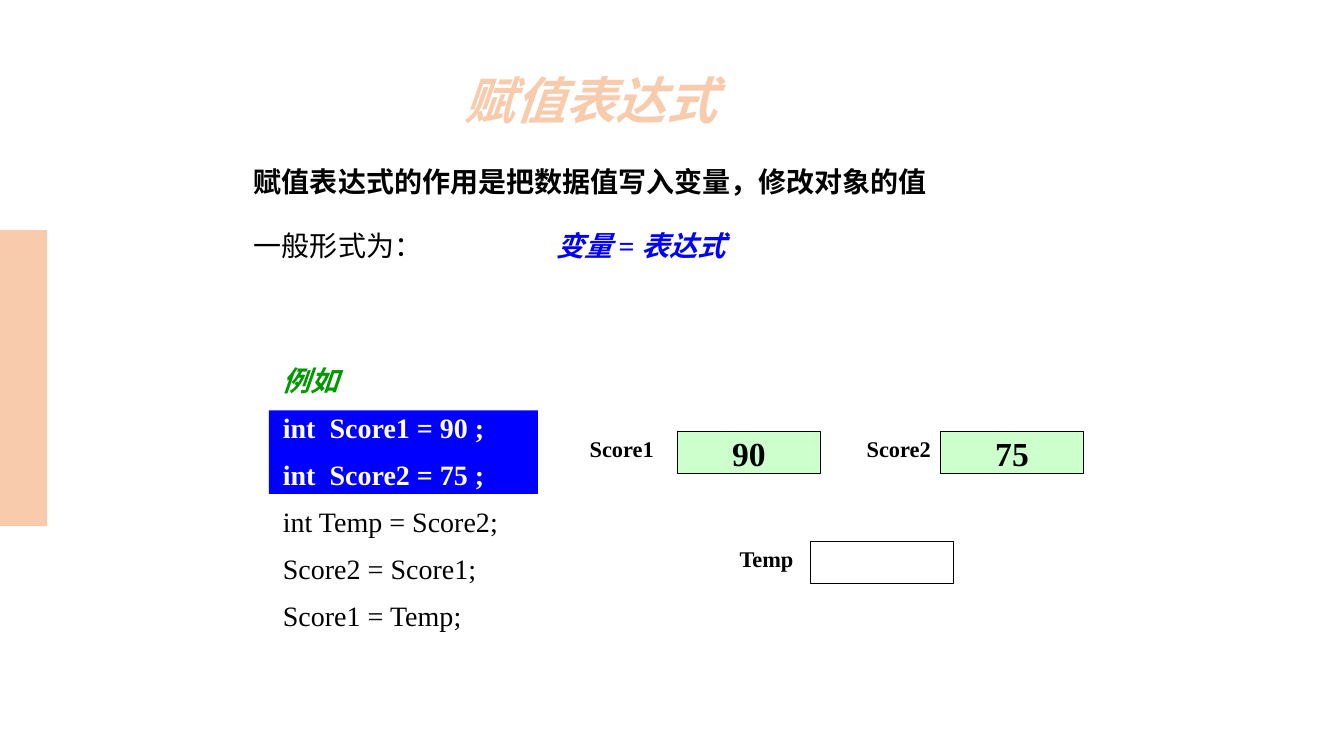
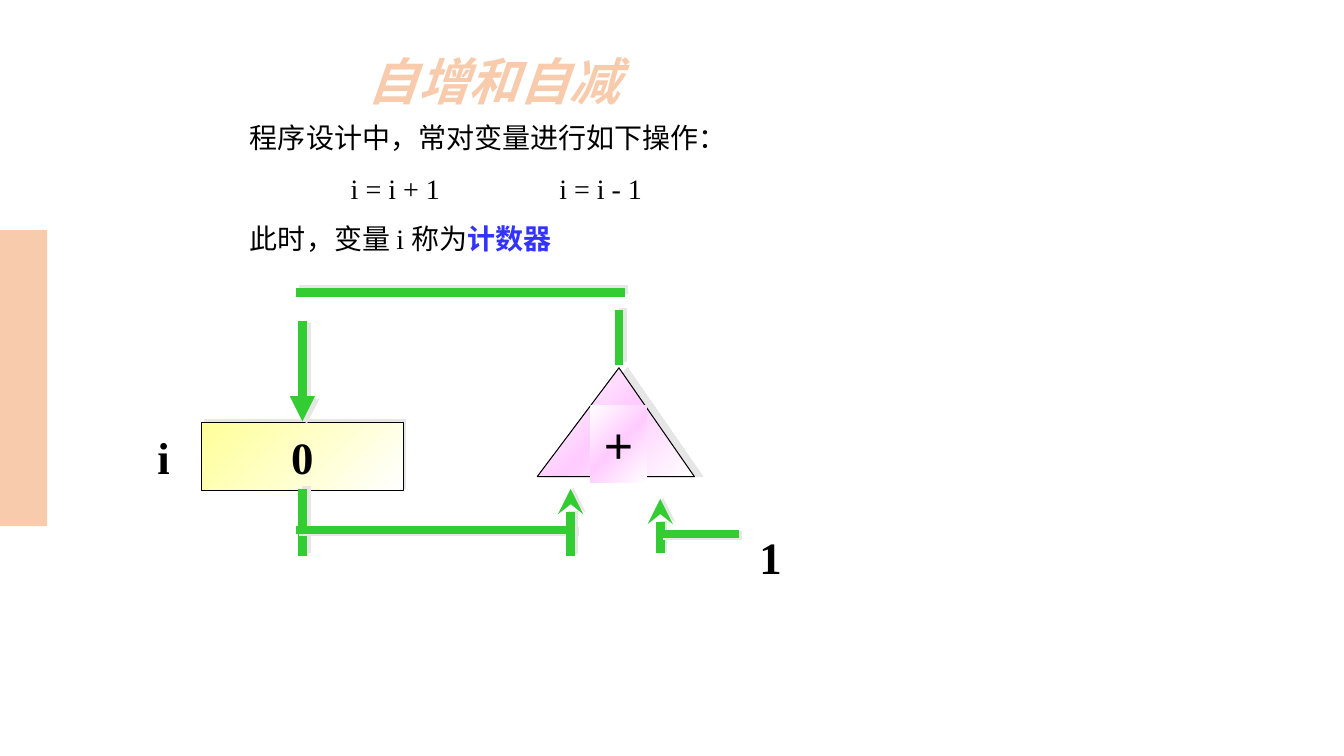
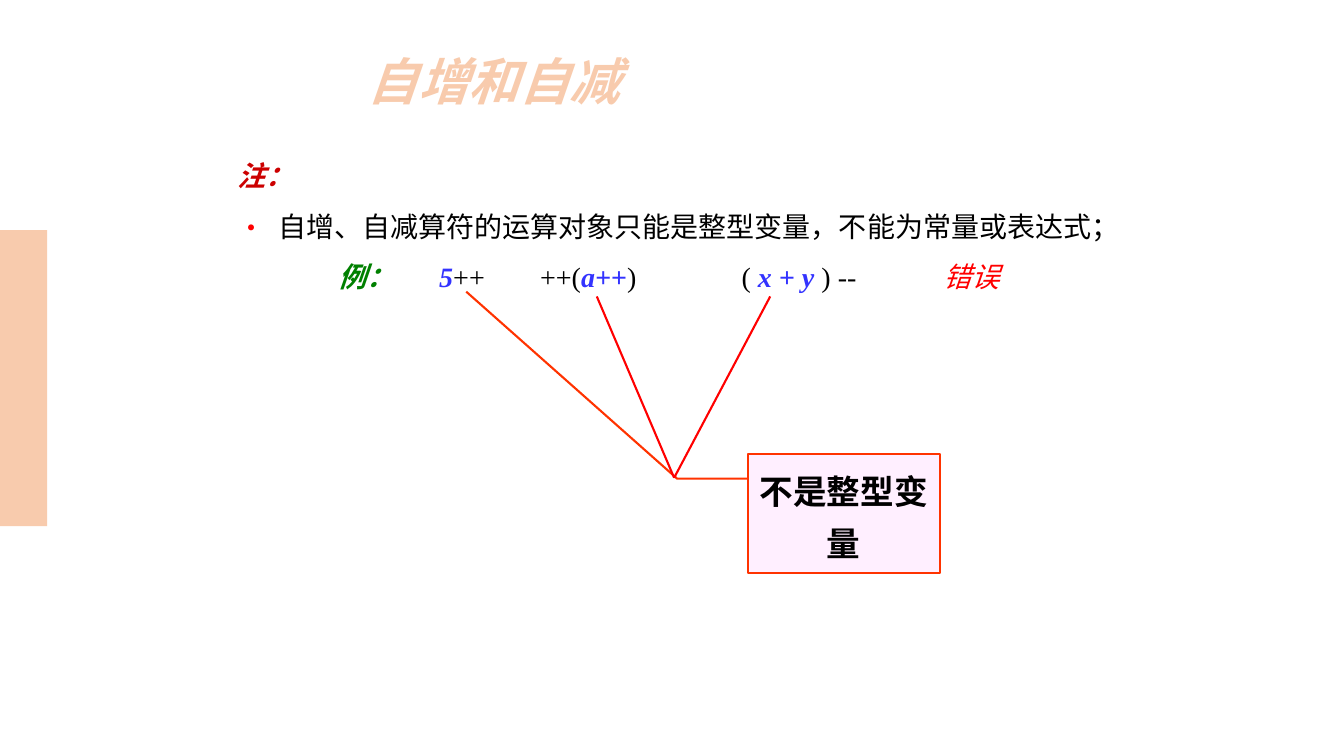
from dataclasses import dataclass
from typing import Any

import lxml.etree
import pptx
import pptx.dml.color
import pptx.enum.shapes
import pptx.enum.text
import pptx.oxml.ns
import pptx.util

Cm = pptx.util.Cm
SHAPE = pptx.enum.shapes.MSO_SHAPE
ANCHOR = pptx.enum.text.MSO_ANCHOR
ALIGN = pptx.enum.text.PP_ALIGN

# Shared look
SERIF = "Times New Roman"
SANS = "Noto Sans CJK SC"
PEACH, BLACK, WHITE = "F8CBAD", "000000", "FFFFFF"
BLUE, VIOLET, RED = "0000FF", "3333FF", "FF0000"
GREEN, SHADE = "33CC33", "E7E6E6"
PINK = [(0, WHITE), (50, "FFCCFF"), (100, WHITE)]
YELLOW = [(0, "FFFF99"), (100, WHITE)]
TAB = 2.54


@dataclass
class Run:
    text: str
    ink: str = BLACK
    bold: bool = False
    slant: bool = False


@dataclass
class Para:
    runs: list[Run]
    tabs: tuple[int, ...] = ()
    bullet: str = ""


@dataclass
class Style:
    size: float = 20
    lead: float = 1.0
    font: str = SERIF
    align: Any = ALIGN.LEFT
    anchor: Any = ANCHOR.TOP
    wrap: bool = True
    pad: tuple[float, float] = (0.25, 0.13)


@dataclass
class Box:
    left: float
    top: float
    width: float
    height: float

    def place(self) -> list[int]:
        return [Cm(n) for n in (self.left, self.top, self.width, self.height)]


@dataclass
class Line:
    start: tuple[float, float]
    end: tuple[float, float]
    shade: tuple[float, int] | None = None
    ink: str = GREEN
    width: float = 6
    tip: str = ""


BODY = Style(lead=1.5, wrap=False)
LABEL = Style(size=16, wrap=False)
VALUE = Style(size=24, align=ALIGN.CENTER, anchor=ANCHOR.MIDDLE, wrap=False)
DIGIT = Style(size=32, align=ALIGN.CENTER, anchor=ANCHOR.MIDDLE, wrap=False,
              pad=(0.33, 0.18))
PLUS = Style(size=37.3, align=ALIGN.CENTER, anchor=ANCHOR.MIDDLE, wrap=False,
             pad=(0.33, 0.18))


def tint(code: str) -> pptx.dml.color.RGBColor:
    return pptx.dml.color.RGBColor.from_string(code)


def add(home: Any, tag: str, **marks: Any) -> Any:
    node = lxml.etree.SubElement(home, pptx.oxml.ns.qn(tag))
    for key, mark in marks.items():
        node.set(key, str(mark))
    return node


def find(part: Any, tag: str) -> Any:
    return part._element.spPr.find(pptx.oxml.ns.qn(tag))


# Text
def mark_up(para: Any, item: Para) -> None:
    """Add the bullet and the tab stops of a paragraph."""
    props = para._p.get_or_add_pPr()
    if item.bullet:
        props.set("marL", str(Cm(1.02)))
        props.set("indent", str(-Cm(1.02)))
        add(add(props, "a:buClr"), "a:srgbClr", val=item.bullet)
        add(props, "a:buFont", typeface=SANS)
        add(props, "a:buChar", char="•")
    if item.tabs:
        stops = add(props, "a:tabLst")
        for stop in item.tabs:
            add(stops, "a:tab", pos=Cm(stop * TAB), algn="l")


def write(shape: Any, paras: list[Para], style: Style) -> None:
    frame = shape.text_frame
    frame.word_wrap = style.wrap
    frame.auto_size = pptx.enum.text.MSO_AUTO_SIZE.NONE
    frame.vertical_anchor = style.anchor
    frame.margin_left = frame.margin_right = Cm(style.pad[0])
    frame.margin_top = frame.margin_bottom = Cm(style.pad[1])
    for rank, item in enumerate(paras):
        para = frame.add_paragraph() if rank else frame.paragraphs[0]
        mark_up(para, item)
        para.alignment = style.align
        para.line_spacing = style.lead
        for piece in item.runs:
            run = para.add_run()
            run.text = piece.text
            font = run.font
            font.size = pptx.util.Pt(style.size)
            font.name = style.font
            font.bold, font.italic = piece.bold, piece.slant
            font.color.rgb = tint(piece.ink)
            add(run._r.get_or_add_rPr(), "a:ea", typeface=SANS)


def text(slide: Any, box: Box, paras: list[Para], style: Style) -> None:
    write(slide.shapes.add_textbox(*box.place()), paras, style)


def bold(words: str) -> list[Para]:
    return [Para([Run(words, bold=True)])]


# Shapes and lines
def shade(part: Any, far: float, turn: int) -> None:
    """Cast a hard shadow; far is in points, turn in degrees."""
    glow = find(part, "a:effectLst")
    cast = add(glow, "a:outerShdw", blurRad=0, dist=pptx.util.Pt(far),
               dir=turn * 60000, algn="ctr", rotWithShape=0)
    add(cast, "a:srgbClr", val=SHADE)


def blend(shape: Any, stops: list[tuple[int, str]]) -> None:
    """Fill with a gradient running to the lower right."""
    shape.fill.gradient()
    grad = find(shape, "a:gradFill")
    for child in list(grad):
        grad.remove(child)
    row = add(grad, "a:gsLst")
    for spot, code in stops:
        add(add(row, "a:gs", pos=spot * 1000), "a:srgbClr", val=code)
    add(grad, "a:lin", ang=45 * 60000, scaled=1)


def draw(slide: Any, box: Box, fill: str | list[tuple[int, str]],
         edge: str = "", width: float = 1, kind: Any = SHAPE.RECTANGLE) -> Any:
    shape = slide.shapes.add_shape(kind, *box.place())
    if isinstance(fill, str):
        shape.fill.solid()
        shape.fill.fore_color.rgb = tint(fill)
    else:
        blend(shape, fill)
    if edge:
        shape.line.color.rgb = tint(edge)
        shape.line.width = pptx.util.Pt(width)
    else:
        shape.line.fill.background()
    shape.shadow.inherit = False
    return shape


def link(slide: Any, line: Line) -> None:
    ends = [Cm(n) for n in (*line.start, *line.end)]
    wire = slide.shapes.add_connector(
        pptx.enum.shapes.MSO_CONNECTOR.STRAIGHT, *ends)
    wire.line.color.rgb = tint(line.ink)
    wire.line.width = pptx.util.Pt(line.width)
    if line.tip:
        add(find(wire, "a:ln"), "a:tailEnd", type=line.tip)
    add(wire._element.spPr, "a:effectLst")
    if line.shade:
        shade(wire, *line.shade)


def start(deck: Any, title: str, box: Box, lead: float, anchor: Any) -> Any:
    """Add a slide with its title and the side band."""
    slide = deck.slides.add_slide(deck.slide_layouts[5])
    head = slide.shapes.title
    head.left, head.top, head.width, head.height = box.place()
    write(head, [Para([Run(title, PEACH, True, True)])],
          Style(size=36, lead=lead, font=SANS, anchor=anchor))
    draw(slide, Box(0, 5.8, 1.19, 7.46), PEACH)
    return slide


def begin(deck: Any) -> Any:
    """Start one of the slides on counting up and down."""
    return start(deck, "自增和自减", Box(9.02, -0.08, 22.02, 2.67), 1.8,
                 ANCHOR.TOP)


# Slides
def assign(deck: Any) -> None:
    slide = start(deck, "赋值表达式", Box(11.46, 1.75, 8.59, 1.7), 0.9,
                  ANCHOR.MIDDLE)
    text(slide, Box(6.15, 3.3, 18.62, 1.7),
         bold("赋值表达式的作用是把数据值写入变量，修改对象的值"),
         Style(lead=2, anchor=ANCHOR.MIDDLE))
    form = [Run("一般形式为：\t"), Run("变量 ", BLUE, True, True),
            Run("= ", BLUE, True), Run("表达式", BLUE, True, True)]
    text(slide, Box(6.15, 4.98, 18.62, 1.65), [Para(form, (3,))],
         Style(lead=1.9, anchor=ANCHOR.MIDDLE))

    # Code with its first two lines lit
    draw(slide, Box(6.78, 10.34, 6.78, 2.11), BLUE)
    code = [Run("例如", "009900", True, True),
            Run("int  Score1 = 90 ;", WHITE, True),
            Run("int  Score2 = 75 ;", WHITE, True),
            Run("int Temp = Score2;"),
            Run("Score2 = Score1;"),
            Run("Score1 = Temp;")]
    text(slide, Box(6.88, 8.69, 6.68, 7.32), [Para([run]) for run in code],
         Style(lead=1.4))

    # Variables in memory: name, name's left, cell's left, top, value
    cells = [("Score1", 14.61, 17.07, 10.87, "90"),
             ("Score2", 21.59, 23.7, 10.87, "75"),
             ("Temp", 18.39, 20.42, 13.64, "")]
    for name, left, side, top, value in cells:
        cell = draw(slide, Box(side, top, 3.61, 1.07),
                    "CCFFCC" if value else WHITE, BLACK)
        if value:
            write(cell, bold(value), VALUE)
        text(slide, Box(left, top - 0.03, 2.16, 0.94), bold(name), LABEL)


def count(deck: Any) -> None:
    slide = begin(deck)
    paras = [Para([Run("程序设计中，常对变量进行如下操作：")]),
             Para([Run("\ti = i + 1\t i = i - 1")], (1, 3)),
             Para([Run("此时，变量 i 称为"), Run("计数器", VIOLET, True)])]
    text(slide, Box(6.05, 2.49, 12.62, 4), paras, BODY)

    # Counter cell and adder
    text(slide, Box(3.63, 10.64, 0.99, 1.73), bold("i"), DIGIT)
    cell = draw(slide, Box(5.08, 10.64, 5.08, 1.73), YELLOW, BLACK, 0.75)
    shade(cell, 2.8, 315)
    write(cell, bold("0"), DIGIT)
    adder = draw(slide, Box(13.54, 9.27, 3.96, 2.74), PINK, BLACK, 0.75,
                 SHAPE.ISOSCELES_TRIANGLE)
    adder.adjustments[0] = 0.52
    shade(adder, 6, 0)
    sign = draw(slide, Box(14.88, 10.21, 1.42, 1.96), PINK)
    write(sign, bold("+"), PLUS)

    # Wires of the loop
    wires = [Line((7.62, 12.32), (7.62, 14), (3.6, 326)),
             Line((7.47, 13.36), (14.53, 13.36), (2.2, 27)),
             Line((14.38, 14), (14.38, 12.32), (2.2, 333), tip="stealth"),
             Line((16.64, 13.94), (16.64, 12.57), (2.2, 333), tip="stealth"),
             Line((16.64, 13.46), (18.62, 13.46), (2.2, 27)),
             Line((15.6, 7.82), (15.6, 9.19), (3.6, 326)),
             Line((7.47, 7.37), (15.75, 7.37), (2.8, 315)),
             Line((7.62, 8.08), (7.62, 10.62), (3.6, 34), tip="triangle")]
    for wire in wires:
        link(slide, wire)
    text(slide, Box(18.8, 13.16, 1.24, 1.73), bold("1"), DIGIT)


def limit(deck: Any) -> None:
    slide = begin(deck)
    cases = [Run("\t"), Run("例：\t", "008000", True, True),
             Run("5", VIOLET, True, True), Run("++\t++("),
             Run("a++", VIOLET, True, True), Run(")\t( "),
             Run("x + y ", VIOLET, True, True), Run(") --\t"),
             Run("错误", RED, slant=True)]
    rule = "自增、自减算符的运算对象只能是整型变量，不能为常量或表达式；"
    paras = [Para([Run("注：", "CC0000", True, True)]),
             Para([Run(rule)], bullet=RED),
             Para(cases, (1, 2, 3, 5, 7))]
    text(slide, Box(5.74, 3.45, 22.56, 3.94), paras, BODY)

    # Callout and the lines from each wrong case
    note = draw(slide, Box(18.85, 11.43, 4.83, 3), "FFEFFF", "FF3300", 1.5,
                SHAPE.LINE_CALLOUT_2)
    for rank, bend in enumerate((0.21, 0, 0.21, -0.37, -1.36, -1.47)):
        note.adjustments[rank] = bend
    write(note, bold("不是整型变量"),
          Style(size=24, lead=1.3, align=ALIGN.CENTER))
    for left in (19.41, 15.04):
        link(slide, Line((left, 7.47), (16.99, 12.04), ink=RED, width=1.5))


def main() -> None:
    deck = pptx.Presentation()
    deck.slide_width, deck.slide_height = Cm(33.87), Cm(19.05)
    for build in (assign, count, limit):
        build(deck)
    deck.save("out.pptx")


if __name__ == "__main__":
    main()
